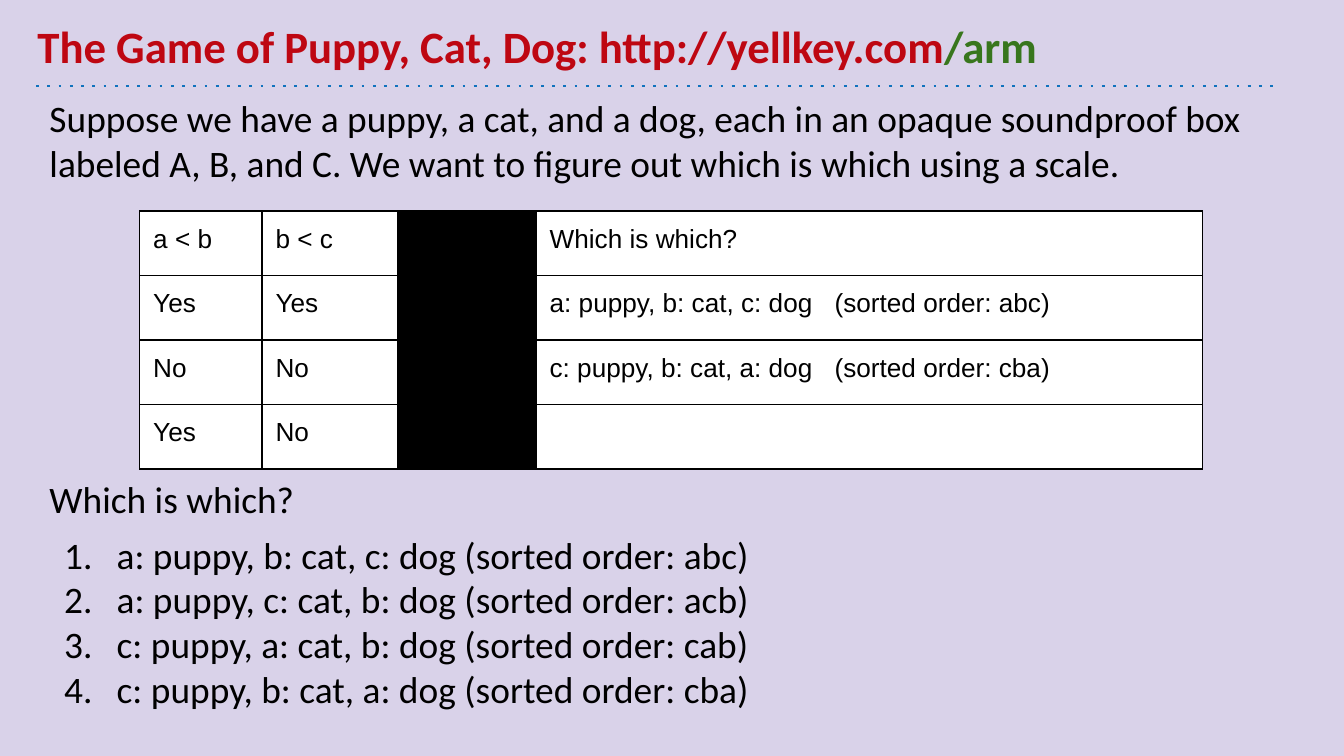
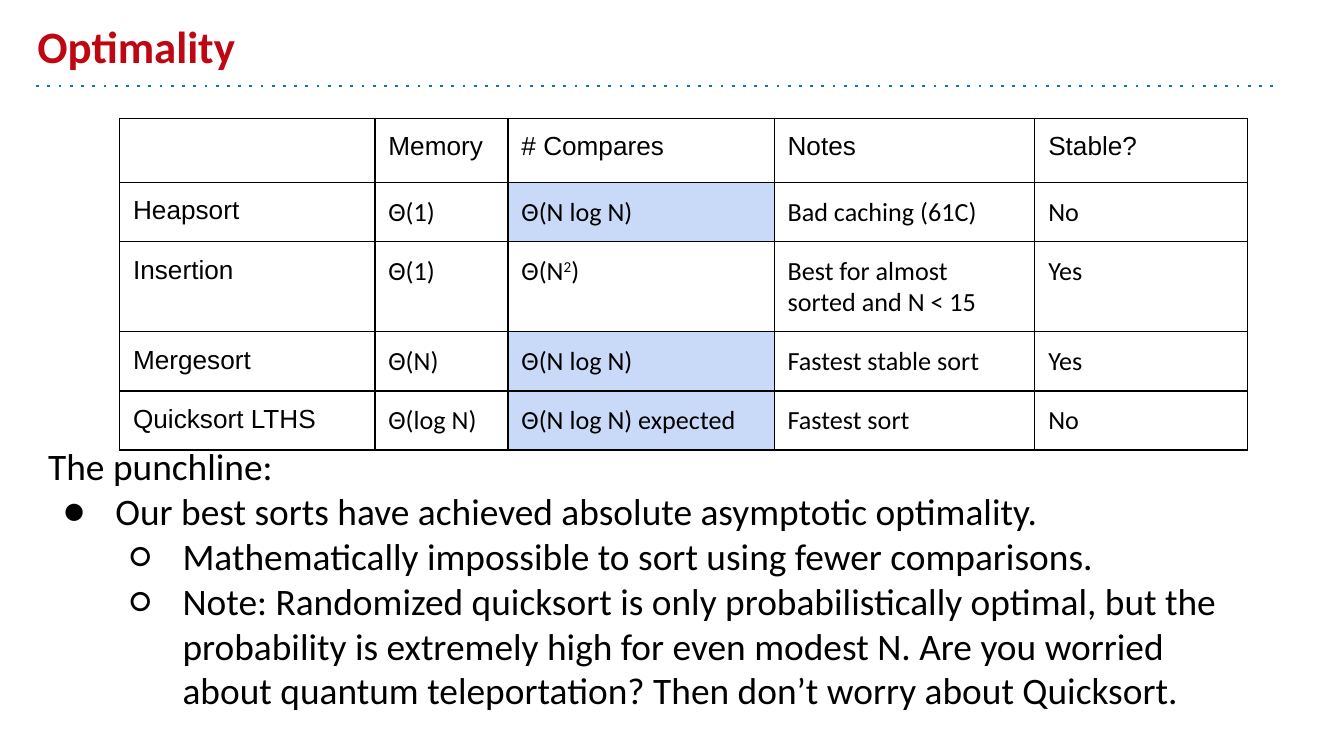
import lxml.etree
import pptx
import pptx.dml.color
import pptx.enum.shapes
import pptx.enum.text
import pptx.oxml.ns
import pptx.util

Inches = pptx.util.Inches
qn = pptx.oxml.ns.qn

COLORS = {
    "title": "BE0712",
    "keyword": "38761D",
    "rule": "1072BD",
    "text": "000000",
    "white": "FFFFFF",
    "lavender": "D9D2E9",
    "optimal": "C9DAF8",
}
HEADER = (0.18, 0.1, 9, 0.54)
INSET = 0.1
INDENT = 0.5
HANGING = 0.39


def rgb(name):
    return pptx.dml.color.RGBColor.from_string(COLORS[name])


def add_xml(parent, tag, **attrs):
    el = lxml.etree.SubElement(parent, qn(tag))
    for key, value in attrs.items():
        el.set(key, str(value))
    return el


def add_run(p, text, size=20, font="Calibri", color="text", bold=False, baseline=0):
    r = p.add_run()
    r.text = text
    r.font.size = pptx.util.Pt(size)
    r.font.name = font
    r.font.bold = bold
    r.font.color.rgb = rgb(color)
    if baseline:
        r._r.get_or_add_rPr().set("baseline", str(baseline * 1000))


def add_runs(p, content, **fmt):
    parts = [(content, {})] if isinstance(content, str) else content
    for text, extra in parts:
        add_run(p, text, **{**fmt, **extra})


def set_marker(p, marker, level):
    p.level = level
    pPr = p._p.get_or_add_pPr()
    pPr.set("marL", str(Inches(INDENT * (level + 1))))
    pPr.set("indent", str(-Inches(HANGING)))
    add_xml(add_xml(pPr, "a:buClr"), "a:srgbClr", val=COLORS["text"])
    add_xml(pPr, "a:buFont", typeface="Calibri")
    if marker == "1.":
        add_xml(pPr, "a:buAutoNum", type="arabicPeriod")
    else:
        add_xml(pPr, "a:buChar", char=marker)


def add_textbox(slide, box):
    tf = slide.shapes.add_textbox(*map(Inches, box)).text_frame
    tf.word_wrap = True
    tf.margin_left = tf.margin_right = tf.margin_top = tf.margin_bottom = Inches(INSET)
    return tf


def add_body(slide, box, items):
    tf = add_textbox(slide, box)
    for i, (text, marker, level, space) in enumerate(items):
        p = tf.add_paragraph() if i else tf.paragraphs[0]
        if space:
            p.space_before = pptx.util.Pt(space)
        if marker:
            set_marker(p, marker, level)
        add_runs(p, text)


def add_header(slide, box, title):
    x, y, w, h = box
    left, right, bottom = (Inches(v) for v in (x + 0.09, x + 9.32, y + h))
    sp = slide.shapes.add_connector(
        pptx.enum.shapes.MSO_CONNECTOR.STRAIGHT, left, bottom, right, bottom)
    sp.line.color.rgb = rgb("rule")
    sp.line.width = pptx.util.Pt(1.5)
    spPr = sp._element.spPr
    add_xml(spPr.find(qn("a:ln")), "a:prstDash", val="dot")
    add_xml(spPr, "a:effectLst")
    tf = add_textbox(slide, box)
    tf.vertical_anchor = pptx.enum.text.MSO_ANCHOR.BOTTOM
    add_runs(tf.paragraphs[0], title, size=24, color="title", bold=True)


def style_cell(cell, fill):
    cell.margin_left = cell.margin_right = Inches(INSET)
    cell.margin_top = cell.margin_bottom = Inches(INSET)
    tcPr = cell._tc.get_or_add_tcPr()
    for side in ("L", "R", "T", "B"):
        ln = add_xml(tcPr, f"a:ln{side}", w=pptx.util.Pt(0.75))
        add_xml(add_xml(ln, "a:solidFill"), "a:srgbClr", val=COLORS["text"])
    if fill:
        cell.fill.solid()
        cell.fill.fore_color.rgb = rgb(fill)
    else:
        cell.fill.background()


def add_table(slide, box, rows, cols, heights, fill_for, inner_font, tab=None):
    shape = slide.shapes.add_table(len(rows), len(cols), *map(Inches, box))
    table = shape.table
    table.first_row = table.horz_banding = False
    for column, width in zip(table.columns, cols):
        column.width = Inches(width)
    for row, height in zip(table.rows, heights):
        row.height = Inches(height)
    for i, row in enumerate(rows):
        for j, content in enumerate(row):
            cell = table.cell(i, j)
            style_cell(cell, fill_for(i, j))
            p = cell.text_frame.paragraphs[0]
            if not content:
                add_xml(p._p, "a:endParaRPr", sz=1400)
                continue
            if tab and "\t" in content:
                tabs = add_xml(p._p.get_or_add_pPr(), "a:tabLst")
                add_xml(tabs, "a:tab", pos=Inches(tab), algn="l")
            add_runs(p, content, size=14, font=inner_font if i and j else "Arial")


def add_slide(prs, background, title):
    slide = prs.slides.add_slide(prs.slide_layouts[6])
    slide.background.fill.solid()
    slide.background.fill.fore_color.rgb = rgb(background)
    add_header(slide, HEADER, title)
    return slide


def build_game(prs):
    slide = add_slide(prs, "lavender", [
        ("The Game of Puppy, Cat, Dog: http://yellkey.com", {}),
        ("/arm", {"color": "keyword"}),
    ])
    add_body(slide, (0.27, 0.61, 9.23, 0.9), [
        ("Suppose we have a puppy, a cat, and a dog, each in an opaque soundproof box "
         "labeled A, B, and C. We want to figure out which is which using a scale.",
         None, 0, 0),
    ])
    answers = [("a", "b", "c"), ("a", "c", "b"), ("c", "a", "b"), ("c", "b", "a")]
    add_body(slide, (0.27, 3.44, 9.23, 2), [("Which is which?", None, 0, 0)] + [
        (f"{x}: puppy, {y}: cat, {z}: dog (sorted order: {x}{y}{z})",
         "1.", 0, 0 if i else 6)
        for i, (x, y, z) in enumerate(answers)
    ])
    rows = [
        ("a < b", "b < c", "", "Which is which?"),
        ("Yes", "Yes", "", "a: puppy, b: cat, c: dog\t(sorted order: abc)"),
        ("No", "No", "", "c: puppy, b: cat, a: dog\t(sorted order: cba)"),
        ("Yes", "No", "", ""),
    ]
    add_table(slide, (1.04, 1.57, 7.91, 1.92), rows, (0.91, 1.01, 1.03, 4.96),
              [0.48] * len(rows), lambda i, j: "text" if j == 2 else "white",
              "Arial", tab=2.12)


def build_optimality(prs):
    slide = add_slide(prs, "white", "Optimality")
    add_body(slide, (0.26, 3.2, 9.21, 2.2), [
        ("The punchline:", None, 0, 0),
        ("Our best sorts have achieved absolute asymptotic optimality.", "●", 0, 0),
        ("Mathematically impossible to sort using fewer comparisons.", "○", 1, 0),
        ("Note: Randomized quicksort is only probabilistically optimal, but the "
         "probability is extremely high for even modest N. Are you worried about "
         "quantum teleportation? Then don’t worry about Quicksort.", "○", 1, 0),
    ])
    squared = [("Θ(N", {}), ("2", {"baseline": 30}), (")", {})]
    rows = [
        ("", "Memory", "# Compares", "Notes", "Stable?"),
        ("Heapsort", "Θ(1)", "Θ(N log N)", "Bad caching (61C)", "No"),
        ("Insertion", "Θ(1)", squared, "Best for almost sorted and N < 15", "Yes"),
        ("Mergesort", "Θ(N)", "Θ(N log N)", "Fastest stable sort", "Yes"),
        ("Quicksort LTHS", "Θ(log N)", "Θ(N log N) expected", "Fastest sort", "No"),
    ]
    add_table(slide, (0.89, 0.88, 8.39, 2.47), rows, (1.9, 0.99, 1.98, 1.94, 1.58),
              (0.48, 0.44, 0.67, 0.44, 0.44),
              lambda i, j: "optimal" if j == 2 and i in (1, 3, 4) else None,
              "Calibri")


def main():
    prs = pptx.Presentation()
    prs.slide_width = Inches(10)
    prs.slide_height = prs.slide_width * 9 // 16
    build_game(prs)
    build_optimality(prs)
    prs.save("out.pptx")


if __name__ == "__main__":
    main()
